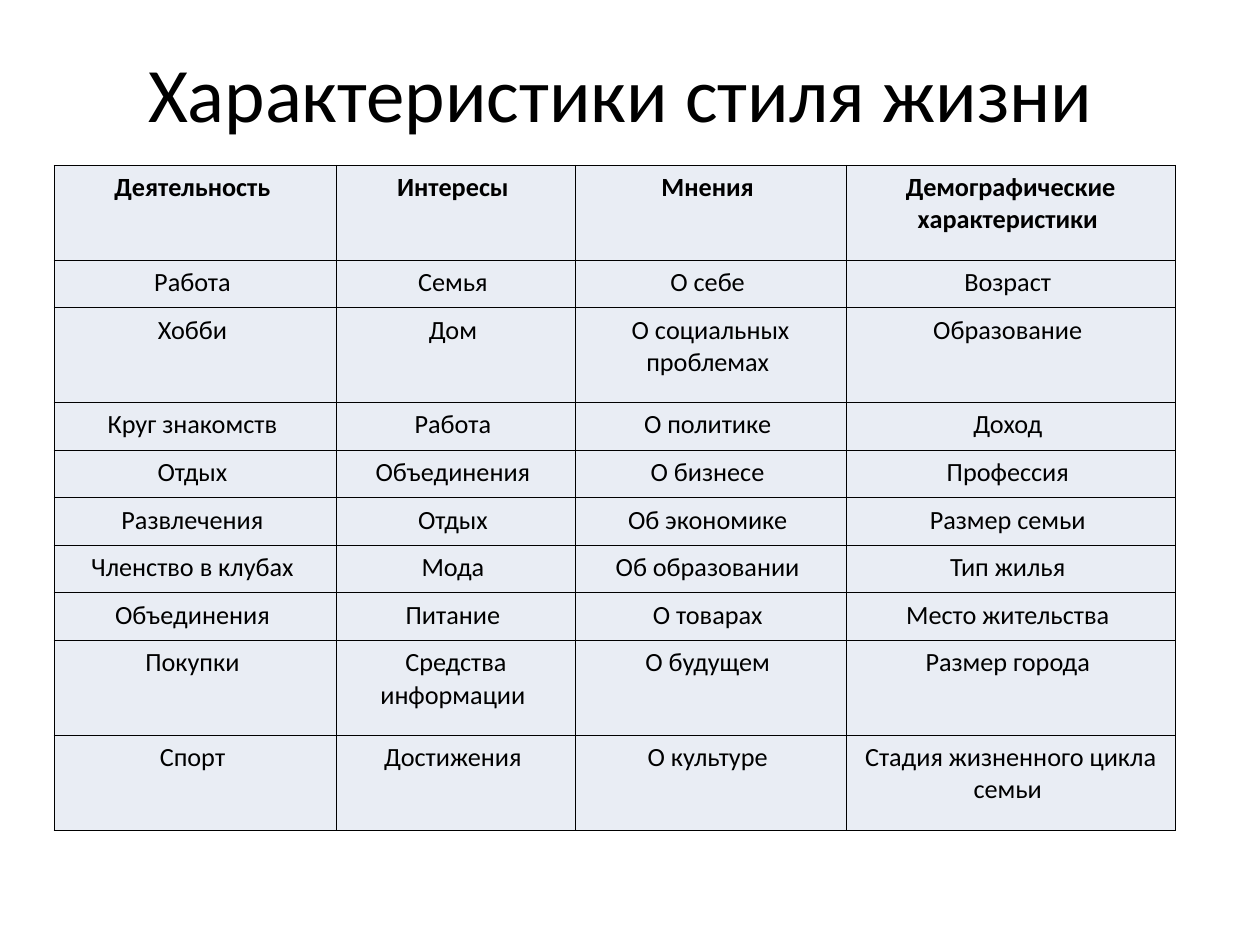
import pptx
import pptx.dml.color
import pptx.enum.text
import pptx.oxml
import pptx.oxml.ns
import pptx.util
from pptx.util import Cm

COLORS = {"text": "000000", "line": "000000", "cell": "E9EDF4"}
WIDTHS = [5.7, 4.8, 5.47, 6.63]
LOW, TALL = 0.96, 1.91
TALL_ROWS = {0, 2, 8, 9}
ROWS = [
    ["Деятельность", "Интересы", "Мнения", "Демографические характеристики"],
    ["Работа", "Семья", "О себе", "Возраст"],
    ["Хобби", "Дом", "О социальных проблемах", "Образование"],
    ["Круг знакомств", "Работа", "О политике", "Доход"],
    ["Отдых", "Объединения", "О бизнесе", "Профессия"],
    ["Развлечения", "Отдых", "Об экономике", "Размер семьи"],
    ["Членство в клубах", "Мода", "Об образовании", "Тип жилья"],
    ["Объединения", "Питание", "О товарах", "Место жительства"],
    ["Покупки", "Средства информации", "О будущем", "Размер города"],
    ["Спорт", "Достижения", "О культуре", "Стадия жизненного цикла семьи"],
]


def rgb(name):
    return pptx.dml.color.RGBColor.from_string(COLORS[name])


def write(frame, text, size=15, bold=False, color="text"):
    """Fill the frame with one centred line that ends in a space."""
    frame.word_wrap = True
    para = frame.paragraphs[0]
    para.alignment = pptx.enum.text.PP_ALIGN.CENTER
    run = para.add_run()
    run.text = f"{text} "
    font = run.font
    font.name = "Calibri"
    font.size = pptx.util.Pt(size)
    font.bold = bold
    font.color.rgb = rgb(color)


def add_title(slide, text):
    box = slide.shapes.add_textbox(Cm(1.27), Cm(0.76), Cm(22.86), Cm(2.16))
    box.text_frame.vertical_anchor = pptx.enum.text.MSO_ANCHOR.MIDDLE
    write(box.text_frame, text, size=44)


def add_edges(cell, width=0.45):
    """Draw a thin line on all four sides of the cell."""
    props = cell._tc.get_or_add_tcPr()
    space = pptx.oxml.ns.nsdecls("a")
    for place, side in enumerate(("lnL", "lnR", "lnT", "lnB")):
        edge = pptx.oxml.parse_xml(
            f'<a:{side} {space} w="{pptx.util.Pt(width)}"><a:solidFill>'
            f'<a:srgbClr val="{COLORS["line"]}"/></a:solidFill></a:{side}>'
        )
        props.insert(place, edge)


def style_cell(cell):
    cell.margin_left = cell.margin_right = Cm(0.08)
    cell.margin_top = cell.margin_bottom = Cm(0.13)
    cell.fill.solid()
    cell.fill.fore_color.rgb = rgb("cell")
    add_edges(cell)


def add_grid(slide, rows):
    heights = [TALL if i in TALL_ROWS else LOW for i in range(len(rows))]
    frame = slide.shapes.add_table(
        len(rows), len(WIDTHS), Cm(1.09), Cm(3.33),
        Cm(sum(WIDTHS)), Cm(sum(heights)),
    )
    table = frame.table
    table.first_row = table.horz_banding = False
    for column, width in zip(table.columns, WIDTHS):
        column.width = Cm(width)
    for i, texts in enumerate(rows):
        table.rows[i].height = Cm(heights[i])
        for cell, text in zip(table.rows[i].cells, texts):
            style_cell(cell)
            write(cell.text_frame, text, bold=i == 0)


def main():
    deck = pptx.Presentation()
    deck.slide_width, deck.slide_height = Cm(25.4), Cm(19.05)
    slide = deck.slides.add_slide(deck.slide_layouts[6])
    add_title(slide, "Характеристики стиля жизни")
    add_grid(slide, ROWS)
    deck.save("out.pptx")


if __name__ == "__main__":
    main()
